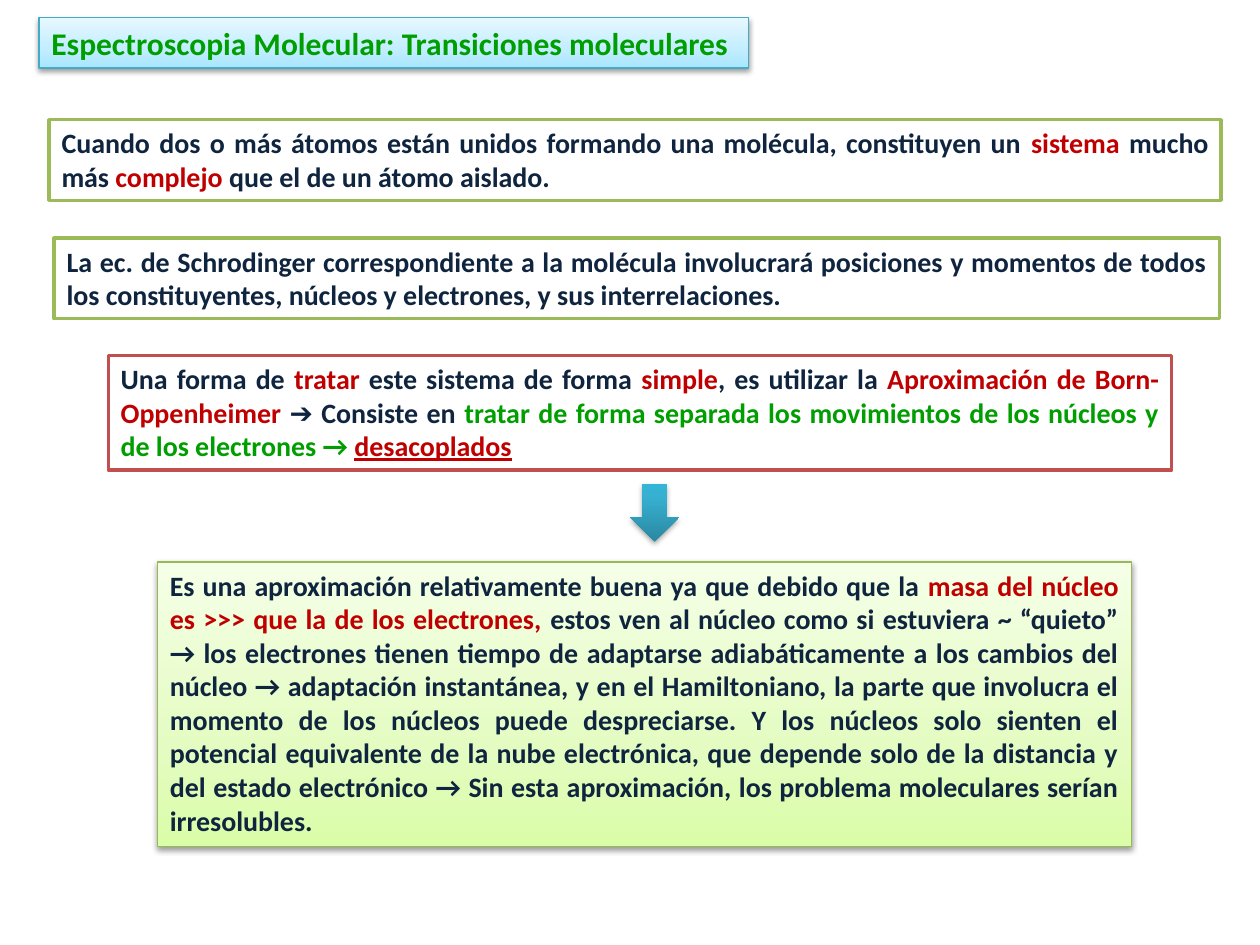
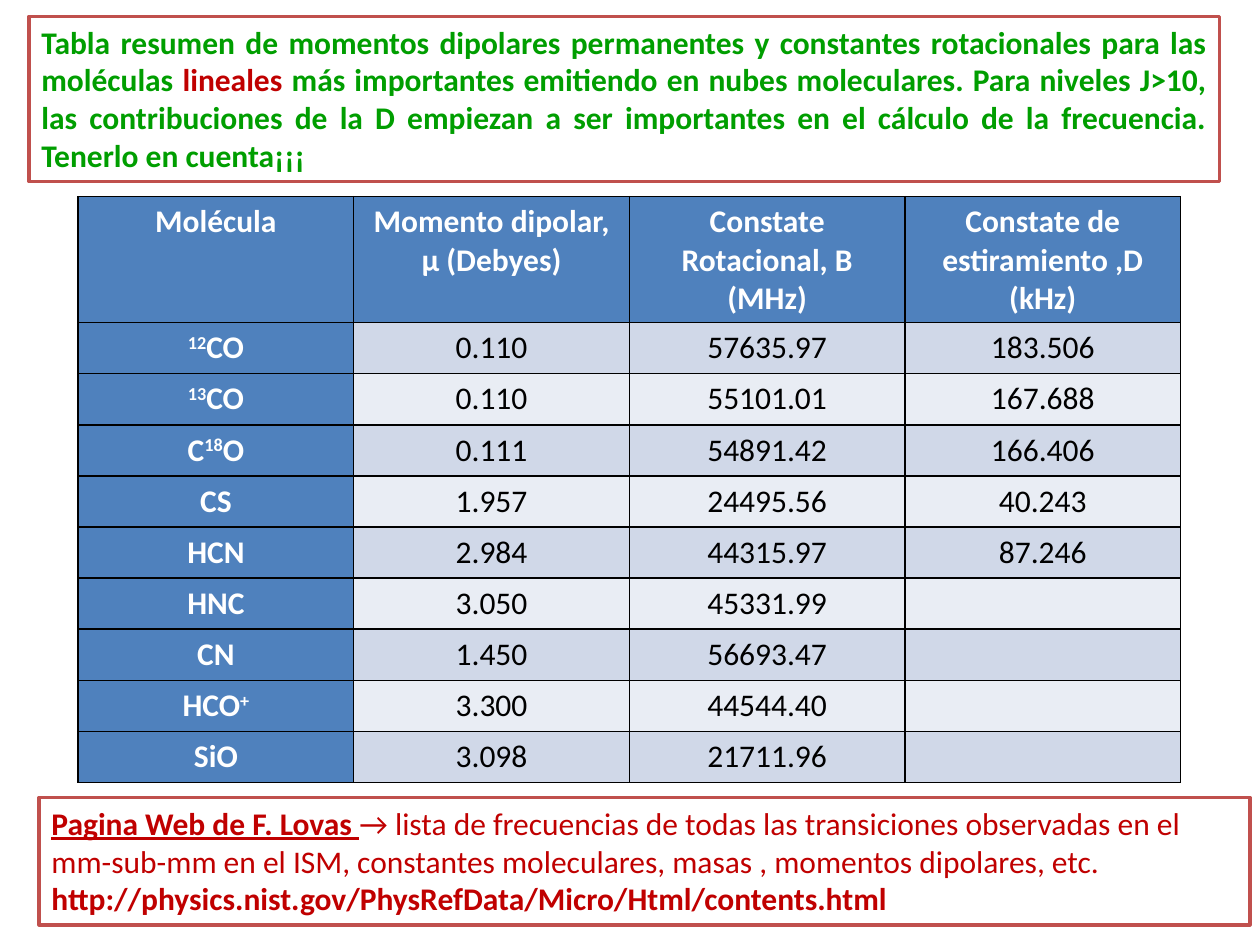
import pptx
import pptx.util
import pptx.dml.color
import pptx.enum.shapes
import pptx.enum.text
import pptx.oxml
import pptx.oxml.ns
import lxml.etree

Inches = pptx.util.Inches
Pt = pptx.util.Pt
RGB = pptx.dml.color.RGBColor.from_string
ALIGN = pptx.enum.text.PP_ALIGN
SHAPE = pptx.enum.shapes.MSO_SHAPE
qn = pptx.oxml.ns.qn


class Theme:
    font = "Calibri"
    title_size = 18
    body_size = 16
    white = "FFFFFF"
    black = "000000"
    navy = "0F243E"
    red = "C00000"
    green = "009E00"
    olive_line = "9BBB59"
    brick_line = "C0504D"
    header_blue = "4F81BD"
    row_bands = ("D0D8E8", "E9EDF4")
    sky = ((0, "A7E6FF"), (35, "C1EDFF"), (100, "E7F8FF"))
    sky_line = "46AAC5"
    lime = ((0, "DAFDA7"), (35, "E4FCC2"), (100, "F5FFE7"))
    lime_line = "98B955"
    teal = ((0, "2A88A2"), (80, "37B1D2"), (100, "34B4D6"))


def write(frame, *paragraphs, size=Theme.body_size, color=Theme.navy, bold=True, align=ALIGN.JUSTIFY):
    frame.word_wrap = True
    for index, pieces in enumerate(paragraphs):
        paragraph = frame.paragraphs[0] if index == 0 else frame.add_paragraph()
        paragraph.alignment = align
        for piece in pieces:
            text, style = (piece, {}) if isinstance(piece, str) else piece
            run = paragraph.add_run()
            run.text = text
            run.font.name = Theme.font
            run.font.size = Pt(size)
            run.font.bold = style.get("bold", bold)
            run.font.underline = style.get("underline", False)
            run.font.color.rgb = RGB(style.get("color", color))
            if style.get("superscript"):
                run.font._element.set("baseline", "30000")


def add_panel(slide, at, fill=Theme.white, line=None, width=2, kind=SHAPE.RECTANGLE, shade=38):
    panel = slide.shapes.add_shape(kind, *map(Inches, at))
    panel.shadow.inherit = False
    properties = panel._element.spPr
    if isinstance(fill, str):
        panel.fill.solid()
        panel.fill.fore_color.rgb = RGB(fill)
    else:
        panel.fill.gradient()
        panel.fill.gradient_angle = 90
        stops = properties.find(qn("a:gradFill")).find(qn("a:gsLst"))
        for stop in list(stops):
            stops.remove(stop)
        for position, color in fill:
            stop = lxml.etree.SubElement(stops, qn("a:gs"), pos=str(position * 1000))
            lxml.etree.SubElement(stop, qn("a:srgbClr"), val=color)
        shadow = lxml.etree.SubElement(
            properties.find(qn("a:effectLst")), qn("a:outerShdw"), blurRad=str(Pt(3.1)),
            dist=str(Pt(1.6)), dir="5400000", rotWithShape="0")
        tint = lxml.etree.SubElement(shadow, qn("a:srgbClr"), val=Theme.black)
        lxml.etree.SubElement(tint, qn("a:alpha"), val=str(shade * 1000))
    if line:
        panel.line.color.rgb = RGB(line)
        panel.line.width = Pt(width)
    else:
        panel.line.fill.background()
    frame = panel.text_frame
    frame.vertical_anchor = pptx.enum.text.MSO_ANCHOR.TOP
    if kind == SHAPE.RECTANGLE:
        frame.auto_size = pptx.enum.text.MSO_AUTO_SIZE.SHAPE_TO_FIT_TEXT
    return frame


red = {"color": Theme.red}
green = {"color": Theme.green}
underlined = {"color": Theme.red, "underline": True}

deck = pptx.Presentation()
deck.slide_width = Inches(10)
deck.slide_height = Inches(7.5)
blank = deck.slide_layouts[6]

transitions = deck.slides.add_slide(blank)

title = add_panel(transitions, (0.31, 0.14, 5.63, 0.4), Theme.sky, Theme.sky_line, 0.75)
write(title, ["Espectroscopia Molecular: Transiciones moleculares"],
      size=Theme.title_size, color=Theme.green, align=ALIGN.LEFT)

molecule_system = add_panel(transitions, (0.39, 0.95, 9.3, 0.64), line=Theme.olive_line)
write(molecule_system, [
    "Cuando dos o más átomos están unidos formando una molécula, constituyen un ",
    ("sistema", red), " mucho más ", ("complejo", red), " que el de un átomo aislado."])

schrodinger = add_panel(transitions, (0.43, 1.89, 9.25, 0.64), line=Theme.olive_line)
write(schrodinger, [
    "La ec. de Schrodinger correspondiente a la molécula involucrará posiciones y momentos "
    "de todos los constituyentes, núcleos y electrones, y sus interrelaciones."])

born_oppenheimer = add_panel(transitions, (0.86, 2.82, 8.44, 0.91), line=Theme.brick_line)
write(born_oppenheimer, [
    "Una forma de ", ("tratar", red), " este sistema de forma ", ("simple", red),
    ", es utilizar la", (" Aproximación de Born-Oppenheimer ", red), "➔ Consiste en ",
    ("tratar de forma separada los movimientos de los núcleos y de los electrones → ", green),
    ("desacoplados", underlined)])

add_panel(transitions, (5, 3.84, 0.39, 0.46), Theme.teal, kind=SHAPE.DOWN_ARROW, shade=35)

justification = add_panel(transitions, (1.25, 4.46, 7.73, 2.26), Theme.lime, Theme.lime_line, 0.75)
write(justification, [
    "Es una aproximación relativamente buena ya que debido que la ",
    ("masa del núcleo es >>> que la de los electrones,", red),
    " estos ven al núcleo como si estuviera ~ “quieto” → los electrones tienen tiempo de "
    "adaptarse adiabáticamente a los cambios del núcleo → adaptación instantánea, y en el "
    "Hamiltoniano, la parte que involucra el momento de los núcleos puede despreciarse. Y los "
    "núcleos solo sienten el potencial equivalente de la nube electrónica, que depende solo de "
    "la distancia y del estado electrónico → Sin esta aproximación, los problema moleculares "
    "serían irresolubles."])

constants = deck.slides.add_slide(blank)

molecules = [
    ("Molécula", "Momento dipolar, μ (Debyes)", "Constate Rotacional, B (MHz)",
     "Constate de estiramiento ,D (kHz)"),
    ("^12^CO", "0.110", "57635.97", "183.506"),
    ("^13^CO", "0.110", "55101.01", "167.688"),
    ("C^18^O", "0.111", "54891.42", "166.406"),
    ("CS", "1.957", "24495.56", "40.243"),
    ("HCN", "2.984", "44315.97", "87.246"),
    ("HNC", "3.050", "45331.99", ""),
    ("CN", "1.450", "56693.47", ""),
    ("HCO^+^", "3.300", "44544.40", ""),
    ("SiO", "3.098", "21711.96", ""),
]
header_height, table_height = 1, 4.65
row_height = (table_height - header_height) / (len(molecules) - 1)
summary = constants.shapes.add_table(
    len(molecules), len(molecules[0]), Inches(0.62), Inches(1.56),
    Inches(8.75), Inches(table_height)).table

for row, values in enumerate(molecules):
    summary.rows[row].height = Inches(row_height if row else header_height)
    for column, value in enumerate(values):
        cell = summary.cell(row, column)
        heading = row == 0 or column == 0
        borders = cell._tc.get_or_add_tcPr()
        for side in ("lnL", "lnR", "lnT", "lnB"):
            border = lxml.etree.SubElement(borders, qn("a:" + side), w=str(Pt(1)))
            paint = lxml.etree.SubElement(border, qn("a:solidFill"))
            lxml.etree.SubElement(paint, qn("a:srgbClr"), val=Theme.black)
        cell.fill.solid()
        cell.fill.fore_color.rgb = RGB(Theme.header_blue if heading else Theme.row_bands[(row - 1) % 2])
        pieces = [(part, {"superscript": index % 2 == 1})
                  for index, part in enumerate(value.split("^")) if part]
        write(cell.text_frame, pieces, size=Theme.title_size, bold=heading,
              color=Theme.white if heading else Theme.black, align=ALIGN.CENTER)

introduction = add_panel(constants, (0.23, 0.13, 9.45, 1.31), line=Theme.brick_line)
write(introduction, [
    "Tabla resumen de momentos dipolares permanentes y constantes rotacionales para las moléculas ",
    ("lineales", red),
    " más importantes emitiendo en nubes moleculares. Para niveles J>10, las contribuciones de "
    "la D empiezan a ser importantes en el cálculo de la frecuencia. Tenerlo en cuenta¡¡¡"],
    size=Theme.title_size, color=Theme.green)

web_page = add_panel(constants, (0.31, 6.33, 9.61, 1.01), line=Theme.brick_line)
write(web_page, [
    ("Pagina Web de F. Lovas ", underlined),
    ("→ lista de frecuencias de todas las transiciones observadas en el mm-sub-mm en el ISM, "
     "constantes moleculares, masas , momentos dipolares, etc.", {"bold": False})],
    ["http://physics.nist.gov/PhysRefData/Micro/Html/contents.html"],
    size=Theme.title_size, color=Theme.red, align=ALIGN.LEFT)

deck.save("out.pptx")
